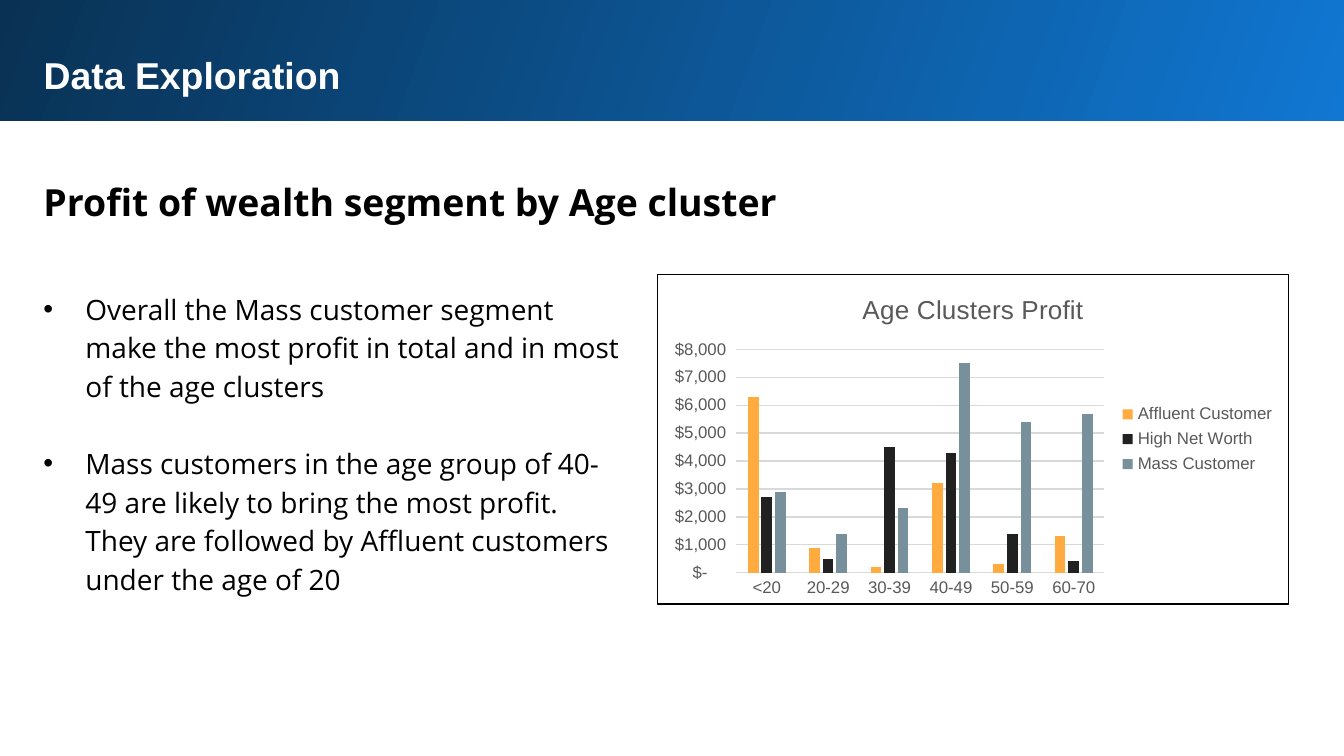
from lxml import etree
from pptx import Presentation
from pptx.chart.data import CategoryChartData as ChartData
from pptx.dml.color import RGBColor as RGB
from pptx.enum.chart import XL_CHART_TYPE as Kind, XL_LEGEND_POSITION as Side
from pptx.enum.chart import XL_TICK_MARK as Tick
from pptx.enum.shapes import MSO_SHAPE as Shape
from pptx.enum.text import MSO_ANCHOR as Anchor, MSO_AUTO_SIZE as Fit, PP_ALIGN as Align
from pptx.oxml import parse_xml
from pptx.oxml.ns import nsdecls, qn
from pptx.util import Pt

PX = 5715  # 160 px to the inch
COLORS = {
    "bright": "1077D2", "navy": "093153", "white": "FFFFFF", "black": "000000",
    "gray": "595959", "grid": "D9D9D9",
}
HEAD = "Profit of wealth segment by Age cluster"
POINTS = [
    "Overall the Mass customer segment make the most profit in total "
    "and in most of the age clusters",
    "Mass customers in the age group of 40-49 are likely to bring the most profit. "
    "They are followed by Affluent customers under the age of 20",
]
AGES = ["<20", "20-29", "30-39", "40-49", "50-59", "60-70"]
SERIES = [
    ("Affluent Customer", "FFAB40", [6300, 900, 200, 3200, 300, 1300]),
    ("High Net Worth", "212121", [2700, 500, 4500, 4300, 1400, 400]),
    ("Mass Customer", "78909C", [2900, 1400, 2300, 7500, 5400, 5700]),
]
MONEY = r'_-[$$-409]* #,##0_ ;_-[$$-409]* \-#,##0\ ;_-[$$-409]* "-"??_ ;_-@_ '


def emu(box):
    return [n * PX for n in box]


def style(font, face, size, color, bold=False):
    font.name, font.size, font.bold = face, Pt(size), bold
    font.color.rgb = RGB.from_string(COLORS[color])


def setup(frame):
    """Make a frame wrap, with even margins and text at the top."""
    frame.word_wrap, frame.auto_size = True, Fit.SHAPE_TO_FIT_TEXT
    frame.vertical_anchor = Anchor.TOP
    frame.margin_left = frame.margin_right = 16 * PX
    frame.margin_top = frame.margin_bottom = 16 * PX


def add_band(slide, box):
    band = slide.shapes.add_shape(Shape.RECTANGLE, *emu(box))
    band.shadow.inherit = False
    band.line.fill.background()
    band.fill.gradient()
    band.fill.gradient_angle = 160
    for stop, name in zip(band.fill.gradient_stops, ("bright", "navy")):
        stop.color.rgb = RGB.from_string(COLORS[name])
    slide.shapes._spTree.insert(2, band._element)  # behind the title


def set_title(slide, box):
    title = slide.shapes.title
    title.left, title.top, title.width, title.height = emu(box)
    setup(title.text_frame)
    title.text_frame.text = "Data Exploration"
    para = title.text_frame.paragraphs[0]
    para.alignment = Align.LEFT
    style(para.runs[0].font, "Arial", 20, "white", True)


def add_text(slide, box, lines, size, bold=False, bullet=False):
    frame = slide.shapes.add_textbox(*emu(box)).text_frame
    setup(frame)
    frame.text = "\n".join(lines)
    for i, para in enumerate(frame.paragraphs):
        para.line_spacing = 1.15
        if i:
            para.space_before = Pt(20.6)
        if bullet:
            props = para._p.get_or_add_pPr()
            props.set("marL", str(50 * PX))
            props.set("indent", str(-50 * PX))
            etree.SubElement(props, qn("a:buFont")).set("typeface", "Arial")
            etree.SubElement(props, qn("a:buChar")).set("char", "•")
        style(para.runs[0].font, "Open Sans", size, "black", bold)


def style_axis(axis):
    axis.major_tick_mark = axis.minor_tick_mark = Tick.NONE
    style(axis.tick_labels.font, "Arial", 9, "gray")


def add_grid(line):
    line.color.rgb = RGB.from_string(COLORS["grid"])
    line.width = Pt(0.75)


def add_border(chart):
    root = chart._chartSpace
    root.find(qn("c:chart")).addnext(parse_xml(
        f'<c:spPr {nsdecls("c", "a")}><a:noFill/><a:ln w="{Pt(0.75)}"><a:solidFill>'
        f'<a:srgbClr val="{COLORS["black"]}"/></a:solidFill></a:ln></c:spPr>'))


def add_profit(slide, box):
    data = ChartData()
    data.categories = AGES
    for name, _, vals in SERIES:
        data.add_series(name, vals)
    chart = slide.shapes.add_chart(Kind.COLUMN_CLUSTERED, *emu(box), data).chart
    style(chart.font, "Arial", 10, "black")
    add_border(chart)

    chart.has_title = True
    chart.chart_title.include_in_layout = False
    frame = chart.chart_title.text_frame
    frame.text = "Age Clusters Profit"
    style(frame.paragraphs[0].runs[0].font, "Arial", 14, "gray")

    chart.has_legend = True
    chart.legend.position = Side.RIGHT
    chart.legend.include_in_layout = False
    style(chart.legend.font, "Arial", 9, "gray")

    cats, vals = chart.category_axis, chart.value_axis
    for axis in (cats, vals):
        style_axis(axis)
    add_grid(cats.format.line)
    add_grid(vals.major_gridlines.format.line)
    vals.format.line.fill.background()
    vals.minimum_scale, vals.maximum_scale, vals.major_unit = 0, 8000, 1000
    vals.tick_labels.number_format = MONEY
    vals.tick_labels.number_format_is_linked = False

    plot = chart.plots[0]
    plot.gap_width, plot.overlap, plot.vary_by_categories = 219, -27, False
    for bars, (_, color, _) in zip(plot.series, SERIES):
        bars.format.fill.solid()
        bars.format.fill.fore_color.rgb = RGB.from_string(color)


def main():
    deck = Presentation()
    deck.slide_width, deck.slide_height = 1600 * PX, 900 * PX
    slide = deck.slides.add_slide(deck.slide_layouts[5])
    add_band(slide, (-3, -3, 1608, 147))
    set_title(slide, (36, 46, 1499, 86))
    add_text(slide, (36, 189, 1499, 90), [HEAD], 20, bold=True)
    add_text(slide, (36, 326, 723, 403), POINTS, 15, bullet=True)
    add_profit(slide, (782, 326, 753, 394))
    deck.save("out.pptx")


if __name__ == "__main__":
    main()
